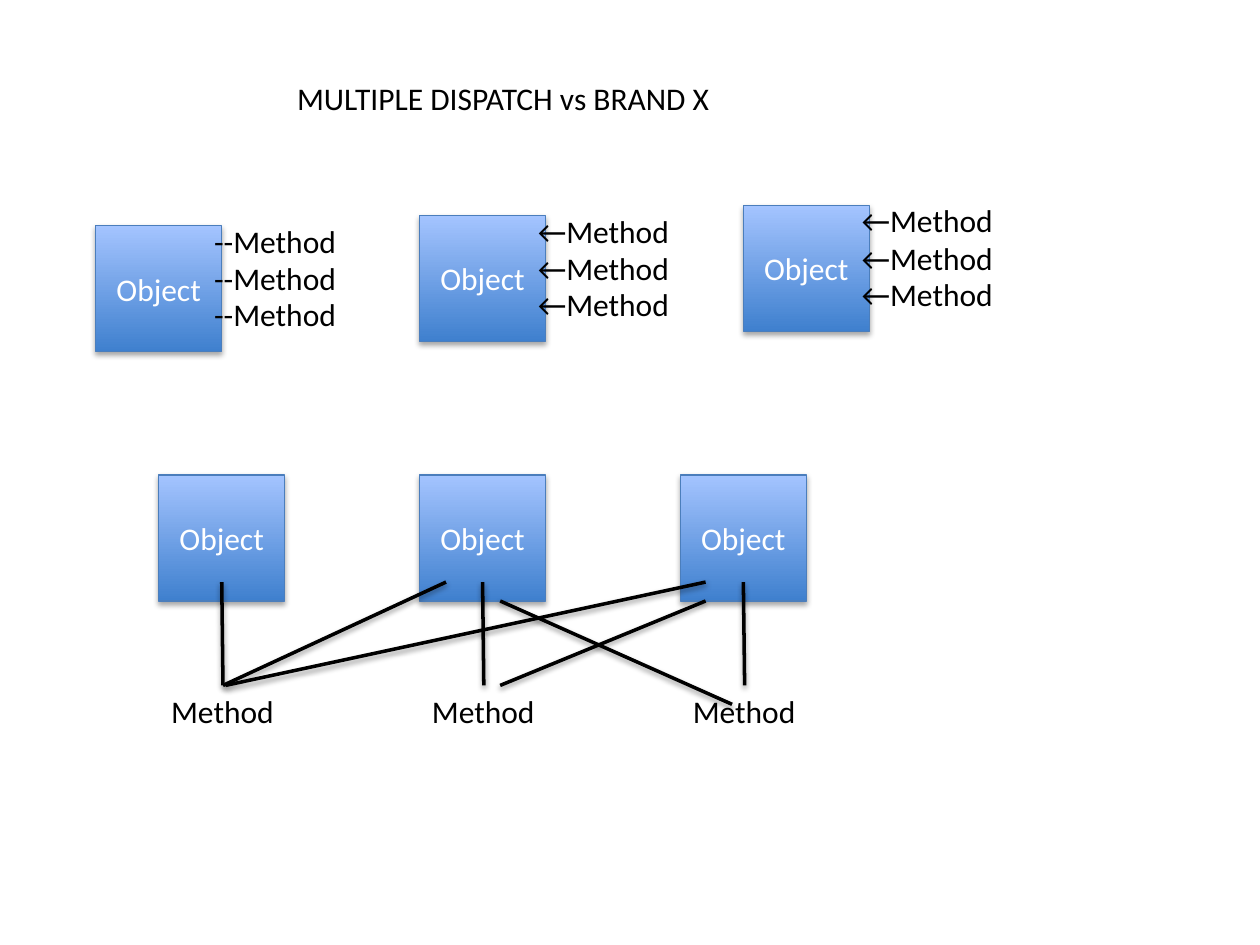
"""Build a slide comparing methods owned by objects with multiple dispatch."""
from typing import NamedTuple

from lxml import etree
from pptx import Presentation, util as u
from pptx.dml.color import RGBColor
from pptx.enum import shapes, text
from pptx.oxml.ns import qn

BLACK = RGBColor(0x00, 0x00, 0x00)
WHITE = RGBColor(0xFF, 0xFF, 0xFF)
DEEP_BLUE = RGBColor(0x3F, 0x80, 0xCE)
PALE_BLUE = RGBColor(0xA4, 0xC4, 0xFF)
EDGE_BLUE = RGBColor(0x4B, 0x7E, 0xBC)

OBJECT_SIDE = 1.0
LABEL_HEIGHT = 0.4
OWNED_LEFT, OWNED_TOP, OWNED_PITCH, OWNED_RISE = 0.76, 1.79, 2.57, 0.08
SHARED_LEFT, SHARED_TOP, SHARED_PITCH = 1.26, 3.77, 2.07
METHOD_TOP, CALL_END = 5.44, 4.62
METHOD_ROWS = (0, 0.3, 0.58)


class Owner(NamedTuple):
    marker: str
    label_width: float


class Call(NamedTuple):
    x1: float
    y1: float
    x2: float
    y2: float


OWNERS = (Owner("--", 1.18), Owner("←", 1.27), Owner("←", 1.27))
CROSS_CALLS = (
    Call(1.77, METHOD_TOP, 3.54, CALL_END),
    Call(1.79, METHOD_TOP, 5.6, CALL_END),
    Call(3.97, METHOD_TOP, 5.6, 4.77),
    Call(5.81, 5.59, 3.97, 4.77),
)

deck = Presentation()
deck.slide_width, deck.slide_height = u.Inches(10), u.Inches(7.5)
slide = deck.slides.add_slide(deck.slide_layouts[6])


def style_text(frame, color: RGBColor) -> None:
    font = frame.paragraphs[0].runs[0].font
    font.name, font.size, font.color.rgb = "Calibri", u.Pt(18), color


def add_shadow(properties, distance: int, opacity: int) -> None:
    effects = properties.find(qn("a:effectLst"))
    if effects is None:
        effects = etree.SubElement(properties, qn("a:effectLst"))
    shadow = etree.SubElement(effects, qn("a:outerShdw"), blurRad="40000",
                              dist=str(distance), dir="5400000", rotWithShape="0")
    tone = etree.SubElement(shadow, qn("a:srgbClr"), val=str(BLACK))
    etree.SubElement(tone, qn("a:alpha"), val=str(opacity * 1000))


def draw_label(wording: str, left: float, top: float, width: float) -> None:
    label = slide.shapes.add_textbox(*map(u.Inches, (left, top, width, LABEL_HEIGHT)))
    frame = label.text_frame
    frame.text = wording
    frame.word_wrap = False
    frame.auto_size = text.MSO_AUTO_SIZE.SHAPE_TO_FIT_TEXT
    style_text(frame, BLACK)


def draw_object(left: float, top: float) -> None:
    box = slide.shapes.add_shape(
        shapes.MSO_SHAPE.RECTANGLE,
        *map(u.Inches, (left, top, OBJECT_SIDE, OBJECT_SIDE)))
    box.fill.gradient()
    box.fill.gradient_angle = 90
    for stop, color in zip(box.fill.gradient_stops, (DEEP_BLUE, PALE_BLUE)):
        stop.color.rgb = color
    box.line.color.rgb, box.line.width = EDGE_BLUE, u.Pt(0.75)
    box.shadow.inherit = False
    add_shadow(box.element.spPr, 23000, 35)
    frame = box.text_frame
    frame.text = "Object"
    frame.vertical_anchor = text.MSO_ANCHOR.MIDDLE
    frame.paragraphs[0].alignment = text.PP_ALIGN.CENTER
    style_text(frame, WHITE)


def draw_call(call: Call) -> None:
    link = slide.shapes.add_connector(
        shapes.MSO_CONNECTOR.STRAIGHT, *map(u.Inches, call))
    link.line.color.rgb, link.line.width = BLACK, u.Pt(2)
    add_shadow(link.element.spPr, 20000, 38)


for column, owner in enumerate(OWNERS):
    left = OWNED_LEFT + column * OWNED_PITCH
    top = OWNED_TOP - column * OWNED_RISE
    draw_object(left, top)
    for row in METHOD_ROWS:
        draw_label(owner.marker + "Method", left + 0.84, top - 0.08 + row,
                   owner.label_width)

shared_lefts = [SHARED_LEFT + column * SHARED_PITCH for column in range(3)]
for left in shared_lefts:
    draw_object(left, SHARED_TOP)
for left in shared_lefts:
    draw_label("Method", left, METHOD_TOP, 1.03)
    draw_call(Call(left + 0.51, METHOD_TOP, left + 0.5, CALL_END))
for cross_call in CROSS_CALLS:
    draw_call(cross_call)

draw_label("MULTIPLE DISPATCH vs BRAND X", 2.26, 0.58, 3.57)
deck.save("out.pptx")
